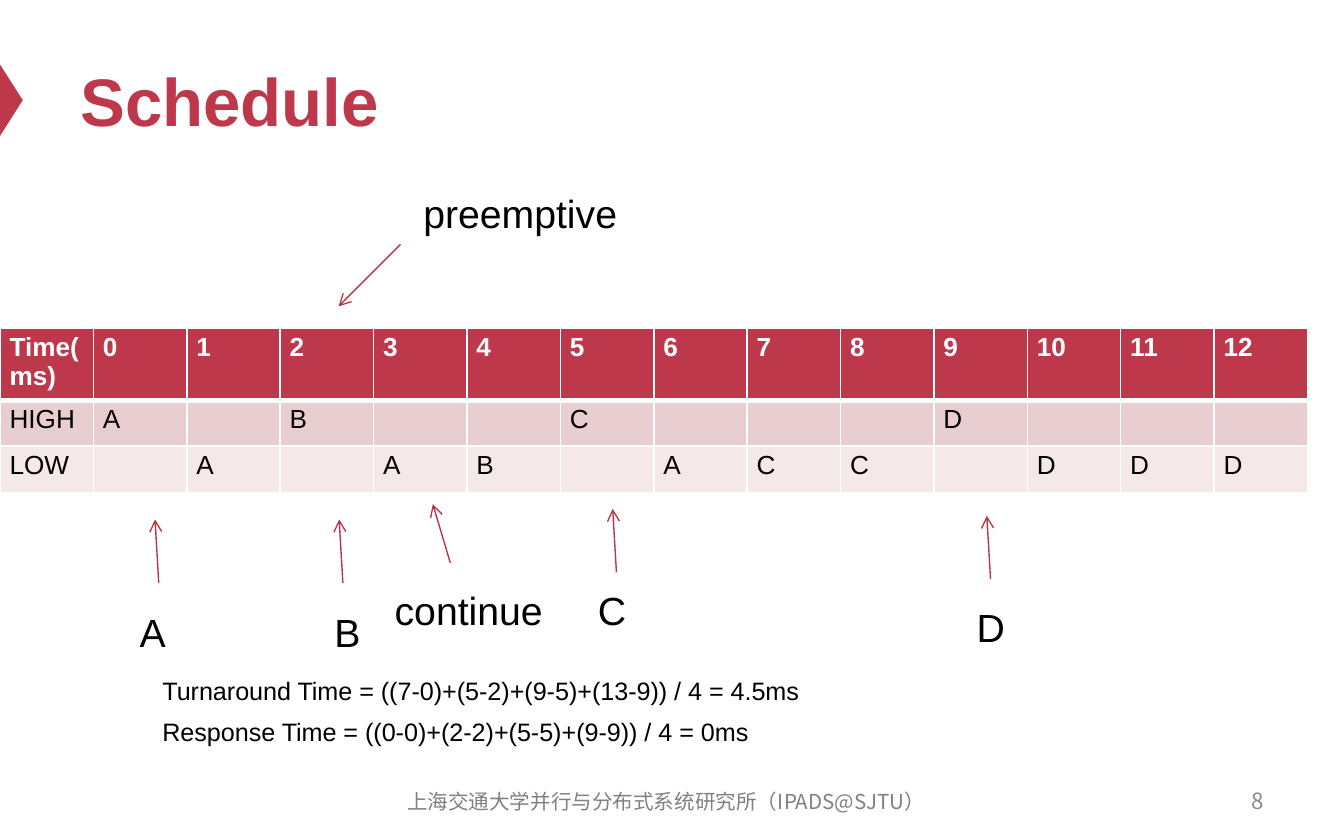
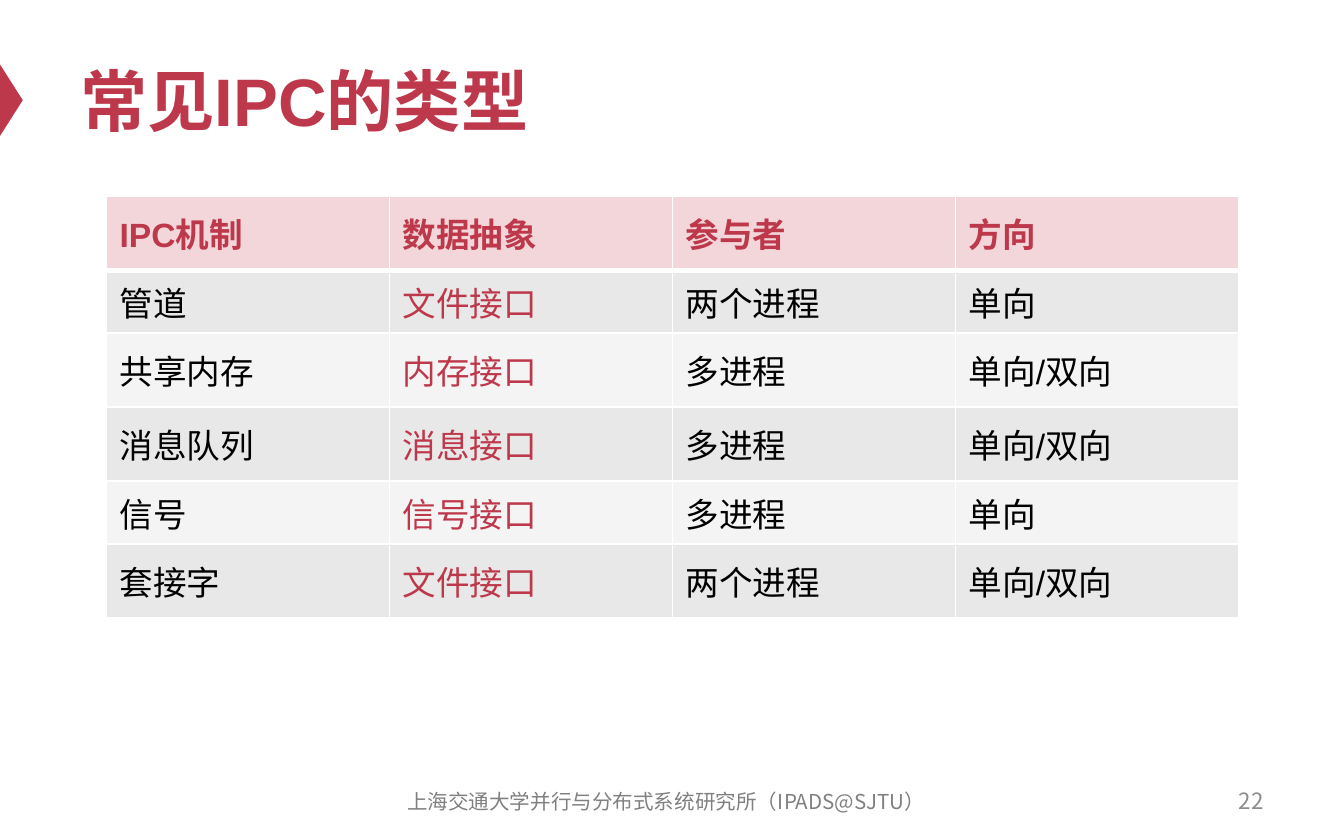
from lxml import etree
from pptx import Presentation
from pptx import util as u
from pptx.dml.color import RGBColor
from pptx.enum import shapes, text
from pptx.oxml import ns

Cm, Pt = u.Cm, u.Pt
RED, ARROW, BLACK, WHITE = "BE384B", "BD3347", "000000", "FFFFFF"
LATIN, CJK = "Arial", "Noto Sans CJK SC"
FOOTER = "上海交通大学并行与分布式系统研究所（IPADS@SJTU）"
LEFT, CENTER, RIGHT = text.PP_ALIGN.LEFT, text.PP_ALIGN.CENTER, text.PP_ALIGN.RIGHT
TOP, MIDDLE = text.MSO_ANCHOR.TOP, text.MSO_ANCHOR.MIDDLE


def rgb(value):
    return RGBColor.from_string(value)


def child(parent, tag, **attrs):
    return etree.SubElement(parent, ns.qn(tag), attrs)


class Deck:
    def __init__(self):
        self.prs = Presentation()
        self.prs.slide_width, self.prs.slide_height = Cm(25.4), Cm(15.88)
        self.s = None

    def slide(self, title, number):
        self.s = self.prs.slides.add_slide(self.prs.slide_layouts[6])
        self.marker()
        self.label(title, 1.27, 0.64, 22.86, 2.49, 36, RED, bold=True, anchor=MIDDLE)
        self.label(str(number), 18.21, 14.71, 5.92, 0.84, 12, "8C8C8C",
                   font=CJK, align=RIGHT, anchor=MIDDLE)
        self.label(FOOTER, 7.09, 14.73, 11, 0.84, 11, "808080",
                   font=CJK, align=CENTER, anchor=MIDDLE)

    def marker(self):
        sp = self.s.shapes.add_shape(shapes.MSO_SHAPE.ISOSCELES_TRIANGLE,
                                     Cm(-0.46), Cm(1.68), Cm(1.35), Cm(0.43))
        sp.rotation = 90
        sp.shadow.inherit = False
        sp.fill.solid()
        sp.fill.fore_color.rgb = rgb(RED)
        sp.line.fill.background()

    def run(self, p, content, size, color, bold=False, font=LATIN):
        r = p.add_run()
        r.text = content
        r.font.size, r.font.bold, r.font.name = Pt(size), bold, font
        r.font.color.rgb = rgb(color)
        child(r.font._element, "a:ea", typeface=CJK)

    def label(self, content, x, y, w, h, size, color=BLACK, bold=False,
              font=LATIN, align=LEFT, anchor=TOP):
        tf = self.s.shapes.add_textbox(Cm(x), Cm(y), Cm(w), Cm(h)).text_frame
        tf.word_wrap, tf.vertical_anchor = True, anchor
        p = tf.paragraphs[0]
        p.alignment = align
        self.run(p, content, size, color, bold, font)

    def arrow(self, x1, y1, x2, y2):
        sp = self.s.shapes.add_connector(shapes.MSO_CONNECTOR.STRAIGHT,
                                         Cm(x1), Cm(y1), Cm(x2), Cm(y2))
        sp.line.color.rgb = rgb(ARROW)
        sp.line.width = Pt(0.75)
        child(sp.line._get_or_add_ln(), "a:tailEnd", type="arrow")
        child(sp._element.spPr, "a:effectLst")

    def border(self, cell, row):
        tc_pr = cell._tc.get_or_add_tcPr()
        widths = {"L": 1, "R": 1, "T": 3 if row == 1 else 1, "B": 3 if row == 0 else 1}
        for side, width in widths.items():
            ln = child(tc_pr, f"a:ln{side}", w=str(Pt(width)))
            child(child(ln, "a:solidFill"), "a:srgbClr", val=WHITE)

    def table(self, rows, x, y, width, heights, size, header, bands,
              accent_col=None, margins=(0.25, 0.13), anchor=TOP):
        head_fill, head_color = header
        tbl = self.s.shapes.add_table(len(rows), len(rows[0]), Cm(x), Cm(y),
                                      Cm(width), Cm(sum(heights))).table
        tbl.horz_banding = False
        for i, row in enumerate(rows):
            tbl.rows[i].height = Cm(heights[i])
            for j, content in enumerate(row):
                cell = tbl.cell(i, j)
                cell.margin_left = cell.margin_right = Cm(margins[0])
                cell.margin_top = cell.margin_bottom = Cm(margins[1])
                cell.vertical_anchor = anchor
                self.border(cell, i)
                cell.fill.solid()
                cell.fill.fore_color.rgb = rgb(bands[(i - 1) % 2] if i else head_fill)
                p = cell.text_frame.paragraphs[0]
                if content:
                    body_color = RED if j == accent_col else BLACK
                    self.run(p, content, size, body_color if i else head_color, bold=i == 0)
                else:
                    child(p._p, "a:endParaRPr", sz=str(size * 100))


def queue_row(name, slots):
    return [name] + [slot.strip("-") for slot in slots]


def schedule(deck):
    deck.slide("Schedule", 8)
    rows = [["Time(ms)"] + [str(t) for t in range(13)],
            queue_row("HIGH", "A-B--C---D---"),
            queue_row("LOW", "-A-AB-ACC-DDD")]
    deck.table(rows, 0, 6.2, 24.71, [1.35, 0.87, 0.87], 14,
               (RED, WHITE), ("E8CED0", "F4E8E9"), margins=(0.18, 0.09))

    arrivals = [("A", 2.39, 11.38, 3, 11.02), ("B", 6.07, 11.38, 6.48, 11.02),
                ("C", 11.05, 10.95, 11.65, 10.82), ("D", 18.21, 11.28, 18.72, 10.95)]
    for job, x, y, arrow_x, arrow_y in arrivals:
        deck.label(job, x, y, 1.14, 1.14, 21)
        deck.arrow(arrow_x, arrow_y, arrow_x - 0.07, arrow_y - 1.2)

    deck.label("preemptive", 7.75, 3.45, 8.23, 1.14, 21)
    deck.arrow(7.57, 4.62, 6.4, 5.79)
    deck.label("continue", 7.21, 10.95, 3.68, 1.14, 21)
    deck.arrow(8.51, 10.64, 8.18, 9.53)

    results = ["Turnaround Time = ((7-0)+(5-2)+(9-5)+(13-9)) / 4 = 4.5ms",
               "Response Time = ((0-0)+(2-2)+(5-5)+(9-9)) / 4 = 0ms"]
    for i, result in enumerate(results):
        deck.label(result, 2.82, 12.65 + 0.77 * i, 14.78, 0.84, 13.5)


def ipc_types(deck):
    deck.slide("常见IPC的类型", 22)
    rows = [["IPC机制", "数据抽象", "参与者", "方向"],
            ["管道", "文件接口", "两个进程", "单向"],
            ["共享内存", "内存接口", "多进程", "单向/双向"],
            ["消息队列", "消息接口", "多进程", "单向/双向"],
            ["信号", "信号接口", "多进程", "单向"],
            ["套接字", "文件接口", "两个进程", "单向/双向"]]
    tall, short = 1.4, 1.19
    deck.table(rows, 2.01, 3.71, 21.4, [tall, short, tall, tall, short, tall], 18,
               ("F3D6DA", RED), ("E8E8E8", "F4F4F4"), accent_col=1, anchor=MIDDLE)


def main():
    deck = Deck()
    schedule(deck)
    ipc_types(deck)
    deck.prs.save("out.pptx")


if __name__ == "__main__":
    main()
